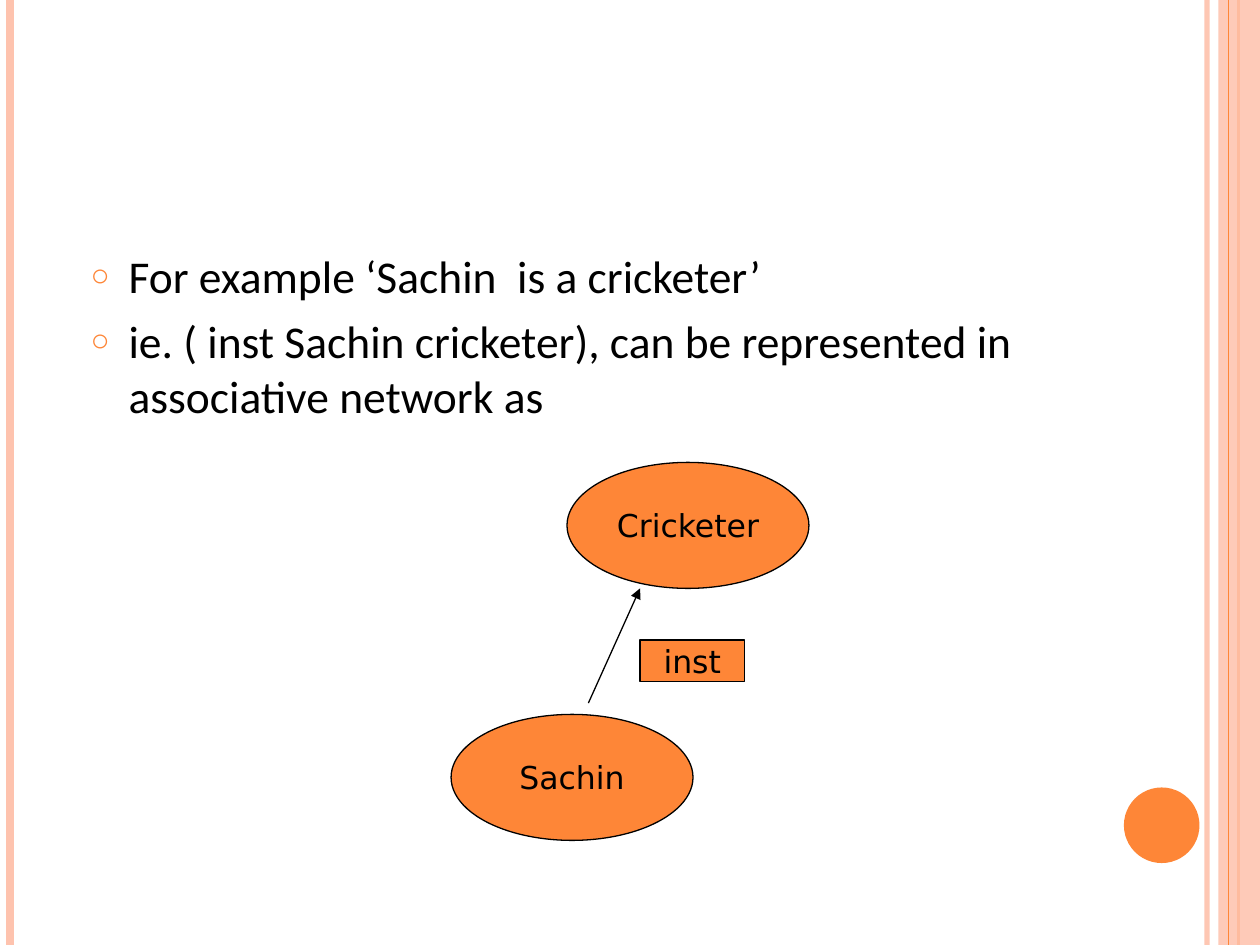
import pptx
import pptx.dml.color
import pptx.enum.shapes
import pptx.enum.text
import pptx.oxml
import pptx.oxml.ns
import pptx.util

Inches = pptx.util.Inches
Pt = pptx.util.Pt
SHAPE = pptx.enum.shapes.MSO_SHAPE
ORANGE, PEACH, BLACK = "FE8637", "FEC3AE", "000000"


def color(hex_value):
    return pptx.dml.color.RGBColor.from_string(hex_value)


def add_xml(parent, tag, attributes=""):
    element = pptx.oxml.parse_xml(
        f"<a:{tag} {pptx.oxml.ns.nsdecls('a')} {attributes}/>")
    parent.append(element)
    return element


def set_alpha(fill, percent):
    fill_color = fill._xPr.find(".//" + pptx.oxml.ns.qn("a:srgbClr"))
    add_xml(fill_color, "alpha", f'val="{percent * 1000}"')


def add_line(slide, start, end, hex_value, width):
    line = slide.shapes.add_connector(
        pptx.enum.shapes.MSO_CONNECTOR.STRAIGHT,
        *map(Inches, start + end))
    line.line.color.rgb = color(hex_value)
    line.line.width = Pt(width)
    add_xml(line._element.spPr, "effectLst")
    return line


def add_filled(slide, kind, box, hex_value, outline=None):
    shape = slide.shapes.add_shape(kind, *map(Inches, box))
    shape.shadow.inherit = False
    shape.fill.solid()
    shape.fill.fore_color.rgb = color(hex_value)
    if outline:
        shape.line.color.rgb = color(outline)
        shape.line.width = Pt(0.75)
    else:
        shape.line.fill.background()
    return shape


def format_runs(paragraph, font_name, size):
    for run in paragraph.runs:
        run.font.name = font_name
        run.font.size = Pt(size)
        run.font.color.rgb = color(BLACK)


def add_node(slide, kind, box, label):
    node = add_filled(slide, kind, box, ORANGE, BLACK)
    frame = node.text_frame
    frame.word_wrap = False
    frame.vertical_anchor = pptx.enum.text.MSO_ANCHOR.MIDDLE
    frame.text = label
    frame.paragraphs[0].alignment = pptx.enum.text.PP_ALIGN.CENTER
    format_runs(frame.paragraphs[0], "DejaVu Sans", 18)


def draw_border(slide, box):
    left, top, width, height = box
    right, bottom = left + width, top + height

    def stripe(x, hex_value, weight):
        return add_line(slide, (x, top), (x, bottom), hex_value, weight)

    inner_stripe = stripe(right - 0.42, PEACH, 3)
    set_alpha(inner_stripe.line.fill, 93)
    stripe(left + 0.08, PEACH, 4.5)
    stripe(right - 0.17, ORANGE, 1.5)
    band = add_filled(slide, SHAPE.RECTANGLE,
                      (right - 0.33, top, 0.33, height), PEACH)
    set_alpha(band.fill, 87)
    stripe(right - 0.25, ORANGE, 0.75)
    add_filled(slide, SHAPE.OVAL,
               (right - 1.08, bottom - 1.25, 0.6, 0.6), ORANGE)


def fill_body(slide, box, statements):
    body = slide.placeholders[1]
    body.left, body.top, body.width, body.height = map(Inches, box)
    frame = body.text_frame
    frame.auto_size = pptx.enum.text.MSO_AUTO_SIZE.NONE
    frame.text = "\n".join(statements)
    for index, paragraph in enumerate(frame.paragraphs):
        properties = paragraph._p.get_or_add_pPr()
        properties.set("marL", str(Inches(0.3)))
        properties.set("indent", str(Inches(-0.3)))
        bullet_color = add_xml(properties, "buClr")
        add_xml(bullet_color, "srgbClr", f'val="{ORANGE}"')
        add_xml(properties, "buSzPct", 'val="70000"')
        add_xml(properties, "buChar", 'char="○"')
        paragraph.space_before = Pt(6 if index else 0)
        format_runs(paragraph, "Calibri", 26)


def draw_network(slide, box):
    left, top, width, height = box
    node_width, node_height = 1.92, 1
    add_node(slide, SHAPE.OVAL,
             (left + width - node_width, top, node_width, node_height),
             "Cricketer")
    add_node(slide, SHAPE.OVAL,
             (left, top + height - node_height, node_width, node_height),
             "Sachin")
    relation = add_line(slide, (left + 1.09, top + 1.91),
                        (left + 1.5, top + node_height), BLACK, 0.75)
    add_xml(relation.line._get_or_add_ln(), "tailEnd", 'type="triangle"')
    add_node(slide, SHAPE.RECTANGLE,
             (left + 1.5, top + 1.41, 0.83, 0.33), "inst")


def main():
    presentation = pptx.Presentation()
    presentation.slide_width = Inches(10)
    presentation.slide_height = Inches(7.5)
    slide = presentation.slides.add_slide(presentation.slide_layouts[1])
    title = slide.shapes.title._element
    title.getparent().remove(title)
    draw_border(slide, (0, 0, 10, 7.5))
    fill_body(slide, (0.62, 1.92, 8.75, 5), (
        "For example ‘Sachin  is a cricketer’",
        "ie. ( inst Sachin cricketer), can be represented in "
        "associative network as",
    ))
    draw_network(slide, (3.58, 3.67, 2.84, 3))
    presentation.save("out.pptx")


if __name__ == "__main__":
    main()
